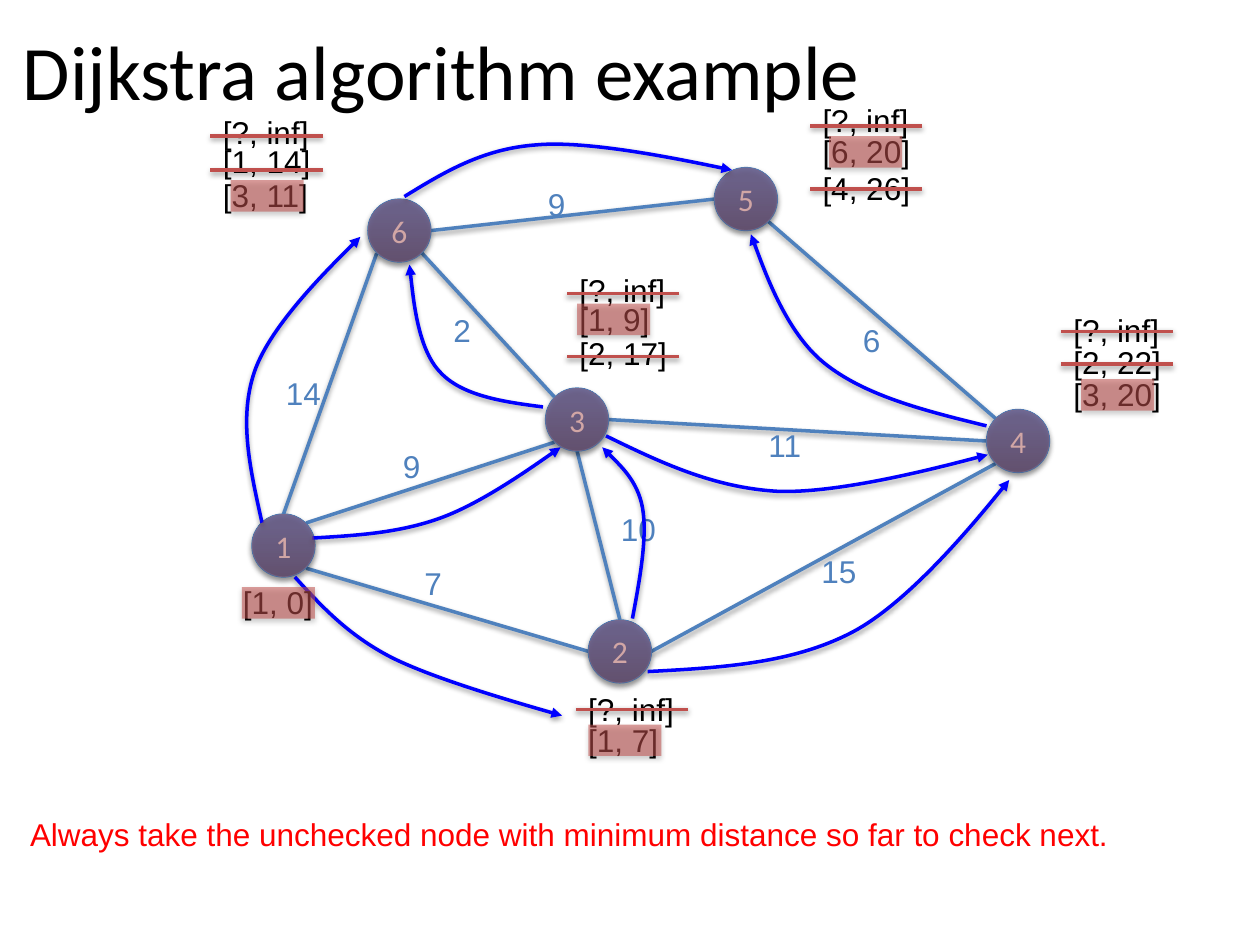
from dataclasses import dataclass

from lxml import etree
from pptx import Presentation
from pptx.dml.color import RGBColor
from pptx.enum.shapes import MSO_CONNECTOR, MSO_SHAPE
from pptx.enum.text import MSO_ANCHOR, MSO_AUTO_SIZE, PP_ALIGN
from pptx.oxml.ns import qn
from pptx.util import Inches, Pt

STRAIGHT = MSO_CONNECTOR.STRAIGHT
OVAL, RECT = MSO_SHAPE.OVAL, MSO_SHAPE.RECTANGLE
MIDDLE = MSO_ANCHOR.MIDDLE
CENTER, LEFT = PP_ALIGN.CENTER, PP_ALIGN.LEFT
FIT, FIXED = MSO_AUTO_SIZE.SHAPE_TO_FIT_TEXT, MSO_AUTO_SIZE.NONE


@dataclass(frozen=True)
class Theme:
    """Colours, fonts and sizes of the slide."""
    ink: str = "000000"
    white: str = "FFFFFF"
    edge: str = "4F81BD"
    node_line: str = "4B7EBC"
    node_dark: str = "2F5F99"
    node_light: str = "3D7CC7"
    mark: str = "C0504D"
    route: str = "0000FF"
    note: str = "FF0000"
    heading_font: str = "Calibri"
    body_font: str = "Arial"
    title_size: int = 44
    body_size: int = 18
    stroke: float = 2
    outline: float = 0.75


T = Theme()
SIZE = 0.5
DIAG = 0.18
SIDES = {"t": (0, -0.25), "b": (0, 0.25), "l": (-0.25, 0), "r": (0.25, 0),
         "tl": (-DIAG, -DIAG), "tr": (DIAG, -DIAG),
         "bl": (-DIAG, DIAG), "br": (DIAG, DIAG)}
NODES = {"1": (2, 4.08), "2": (4.67, 4.92), "3": (4.33, 3.08),
         "4": (7.83, 3.25), "5": (5.67, 1.33), "6": (2.92, 1.58)}
EDGES = [("5", "l", "6", "r", "9", 4.25, 1.42), ("6", "bl", "1", "t", "14", 2.17, 2.92),
         ("5", "br", "4", "tl", "6", 6.75, 2.5), ("2", "l", "1", "br", "7", 3.27, 4.43),
         ("4", "bl", "2", "r", "15", 6.42, 4.33), ("6", "br", "3", "tl", "2", 3.5, 2.42),
         ("3", "bl", "1", "tr", "9", 3.1, 3.5), ("3", "b", "2", "t", "10", 4.83, 4),
         ("3", "r", "4", "l", "11", 6, 3.33)]
ROUTES = [
    [(2.34, 4.58), (2.55, 4.81), (2.76, 5.04), (3.11, 5.22), (3.47, 5.4), (4.46, 5.68), (4.46, 5.68)],
    [(2.48, 4.27), (2.83, 4.25), (3.17, 4.23), (3.5, 4.11), (3.83, 3.99), (4.45, 3.55), (4.45, 3.55)],
    [(2.08, 4.15), (1.99, 3.74), (1.89, 3.33), (2.02, 2.95), (2.15, 2.57), (2.86, 1.88), (2.86, 1.88)],
    [(5.14, 5.33), (5.71, 5.3), (6.28, 5.27), (6.76, 5.02), (7.24, 4.77), (8.01, 3.81), (8.01, 3.81)],
    [(5.02, 4.91), (5.08, 4.59), (5.14, 4.26), (5.1, 4.03), (5.06, 3.81), (4.78, 3.55), (4.78, 3.55)],
    [(4.31, 3.23), (3.99, 3.19), (3.66, 3.14), (3.49, 2.95), (3.31, 2.76), (3.25, 2.1), (3.25, 2.1)],
    [(4.81, 3.46), (5.24, 3.67), (5.66, 3.87), (6.17, 3.9), (6.68, 3.92), (7.84, 3.61), (7.84, 3.61)],
    [(3.21, 1.56), (3.52, 1.37), (3.83, 1.18), (4.26, 1.15), (4.69, 1.11), (5.81, 1.35), (5.81, 1.35)],
    [(7.83, 3.38), (7.34, 3.26), (6.86, 3.14), (6.54, 2.88), (6.23, 2.63), (5.96, 1.86), (5.96, 1.86)],
]
LABELS = [
    ((1.83, 4.58), 0.09, [("[1, 0]", 0, None)]),
    ((4.57, 5.43), 0.1, [("[?, inf]", 0, 0.2), ("[1, 7]", 0.24, None)]),
    ((4.5, 2.1), 0.08, [("[?, inf]", 0, 0.23), ("[1, 9]", 0.23, None), ("[2, 17]", 0.5, 0.73)]),
    ((1.67, 0.85), 0.16, [("[?, inf]", 0, 0.23), ("[1, 14]", 0.23, 0.5), ("[3, 11]", 0.5, None)]),
    ((6.43, 0.75), 0.15, [("[?, inf]", 0, 0.25), ("[6, 20]", 0.25, None), ("[4, 26]", 0.54, 0.75)]),
    ((8.42, 2.42), 0.16, [("[?, inf]", 0, 0.21), ("[2, 22]", 0.25, 0.47), ("[3, 20]", 0.51, None)]),
]


def rgb(value):
    """Turn a hex string into a colour."""
    return RGBColor.from_string(value)


def add_shadow(sp, opacity, distance):
    """Give an object a soft shadow falling straight down."""
    fx = etree.SubElement(sp.element.spPr, qn("a:effectLst"))
    shadow = etree.SubElement(fx, qn("a:outerShdw"), blurRad=str(Pt(3.1)),
                              dist=str(Pt(distance)), dir="5400000", rotWithShape="0")
    clr = etree.SubElement(shadow, qn("a:srgbClr"), val=T.ink)
    etree.SubElement(clr, qn("a:alpha"), val=str(opacity * 1000))


def set_text(tf, text, color, font=T.body_font, size=T.body_size, align=LEFT, **frame):
    """Write one formatted line into a text frame."""
    for name, value in frame.items():
        setattr(tf, name, value)
    p = tf.paragraphs[0]
    p.alignment = align
    r = p.add_run()
    r.text = text
    for name, value in {"name": font, "size": Pt(size)}.items():
        setattr(r.font, name, value)
    r.font.color.rgb = rgb(color)


def add_label(slide, x, y, w, text, color):
    """Add an unwrapped line of body text."""
    tb = slide.shapes.add_textbox(Inches(x), Inches(y), Inches(w), Inches(0.4))
    set_text(tb.text_frame, text, color, word_wrap=False, auto_size=FIT)


def add_line(slide, start, end, color):
    """Add a straight line with a shadow."""
    cx = slide.shapes.add_connector(STRAIGHT, *(Inches(v) for v in (*start, *end)))
    cx.line.color.rgb = rgb(color)
    cx.line.width = Pt(T.stroke)
    add_shadow(cx, 38, 1.6)


def add_tint(slide, kind, x, y, w, h, opacity):
    """Lay a translucent mark over a box."""
    sp = slide.shapes.add_shape(kind, *(Inches(v) for v in (x, y, w, h)))
    sp.fill.solid()
    sp.fill.fore_color.rgb = rgb(T.mark)
    clr = sp.element.spPr.find(".//" + qn("a:srgbClr"))
    etree.SubElement(clr, qn("a:alpha"), val=str(opacity * 1000))
    sp.line.fill.background()
    add_shadow(sp, 35, 1.8)


def add_node(slide, x, y, text):
    """Add a numbered graph node."""
    sp = slide.shapes.add_shape(OVAL, Inches(x), Inches(y), Inches(SIZE), Inches(SIZE))
    sp.fill.gradient()
    sp.fill.gradient_angle = 90
    for stop, color, pos in zip(sp.fill.gradient_stops, (T.node_dark, T.node_light), (0, 0.8)):
        stop.color.rgb = rgb(color)
        stop.position = pos
    sp.line.color.rgb = rgb(T.node_line)
    sp.line.width = Pt(T.outline)
    add_shadow(sp, 35, 1.8)
    margins = {f"margin_{side}": 0 for side in ("left", "top", "right", "bottom")}
    set_text(sp.text_frame, text, T.white, T.heading_font, align=CENTER,
             vertical_anchor=MIDDLE, **margins)


def add_route(slide, points):
    """Add a curved arrow through Bezier control points."""
    pts = [(Inches(x), Inches(y)) for x, y in points]
    builder = slide.shapes.build_freeform(*pts[0])
    builder.add_line_segments(pts[1:], close=False)
    sp = builder.convert_to_shape()
    outline = sp.element.spPr.find(".//" + qn("a:path"))
    steps = outline.findall(qn("a:lnTo"))
    for i in range(0, len(steps), 3):
        curve = etree.SubElement(outline, qn("a:cubicBezTo"))
        for step in steps[i:i + 3]:
            curve.append(step[0])
            outline.remove(step)
    sp.fill.background()
    sp.line.color.rgb = rgb(T.route)
    sp.line.width = Pt(T.stroke)
    etree.SubElement(sp.line._get_or_add_ln(), qn("a:tailEnd"), type="triangle")
    add_shadow(sp, 38, 1.6)


def add_title(slide, box, text):
    """Place and fill the title placeholder."""
    sp = slide.shapes.title
    for name, value in zip(("left", "top", "width", "height"), box):
        setattr(sp, name, Inches(value))
    set_text(sp.text_frame, text, T.ink, T.heading_font, T.title_size,
             vertical_anchor=MIDDLE, auto_size=FIXED)


def add_graph(slide, box):
    """Draw edges, nodes, weights, routes and visited marks."""
    left, top = box[:2]
    nodes = {n: (left + x, top + y) for n, (x, y) in NODES.items()}

    def site(node, side):
        """Find a point on the rim of a node."""
        return [v + SIZE / 2 + d for v, d in zip(nodes[node], SIDES[side])]

    for a, a_side, b, b_side, *_ in EDGES:
        add_line(slide, site(a, a_side), site(b, b_side), T.edge)
    for name, (x, y) in nodes.items():
        add_node(slide, x, y, name)
    for *_, weight, x, y in EDGES:
        add_label(slide, left + x, top + y, 0.2 + 0.14 * len(weight), weight, T.edge)
    for points in ROUTES:
        add_route(slide, [(left + x, top + y) for x, y in points])
    for x, y in nodes.values():
        add_tint(slide, OVAL, x, y, SIZE, SIZE, 39)


def add_distances(slide, box, indent, rows):
    """List a node's distances, striking out old ones and marking the best."""
    left, top = box
    for text, dy, strike in rows:
        add_label(slide, left, top + dy, 0.76 if len(text) == 6 else 0.9, text, T.ink)
        if strike is None:
            add_tint(slide, RECT, left + indent, top + dy + 0.08, 0.58, 0.25, 55)
        else:
            add_line(slide, (left, top + strike), (left + 0.89, top + strike), T.mark)


def main():
    """Build and save the slide."""
    prs = Presentation()
    prs.slide_width, prs.slide_height = Inches(10), Inches(7.5)
    slide = prs.slides.add_slide(prs.slide_layouts[5])
    add_title(slide, (0.08, 0.08, 9.75, 0.95), "Dijkstra algorithm example")
    add_graph(slide, (0, 0, 10, 7.5))
    for box, indent, rows in LABELS:
        add_distances(slide, box, indent, rows)
    add_label(slide, 0.14, 6.42, 8.86,
              "Always take the unchecked node with minimum distance so far to check next.", T.note)
    prs.save("out.pptx")


if __name__ == "__main__":
    main()
